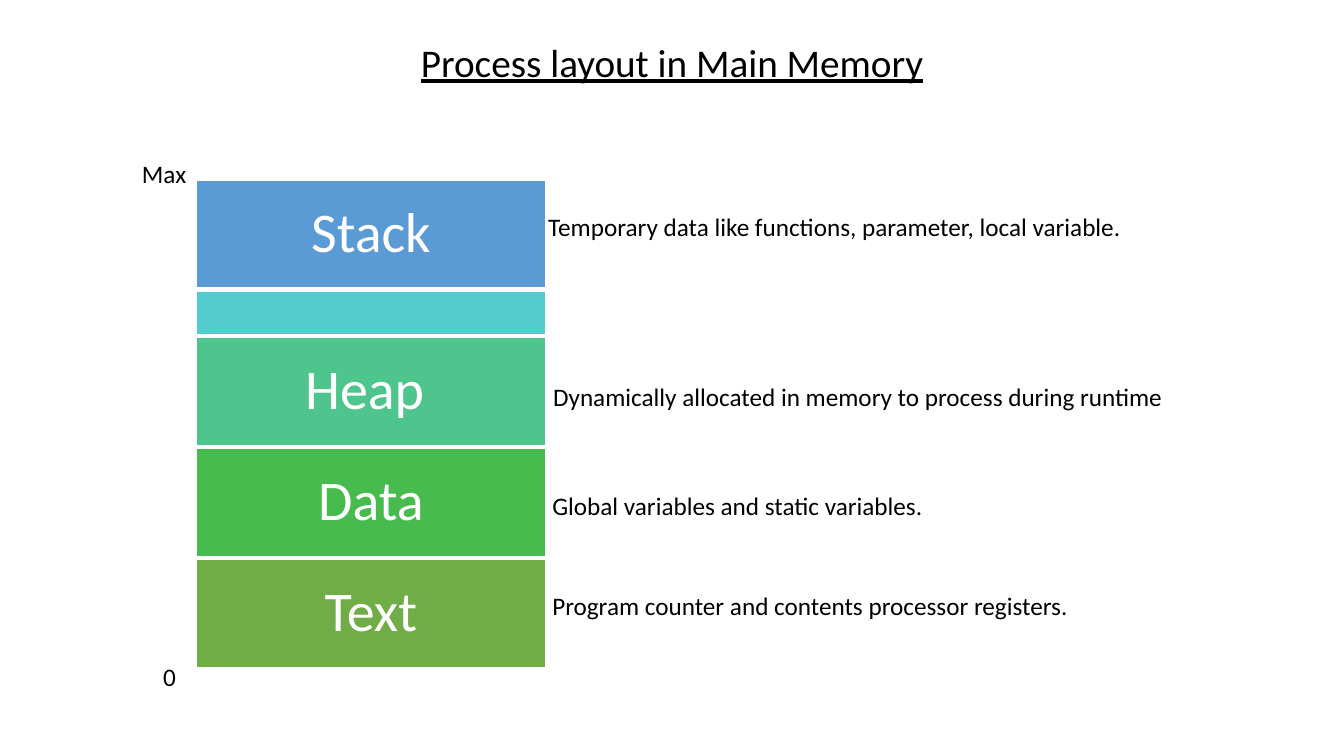
from dataclasses import dataclass

from pptx import Presentation
from pptx.dml.color import RGBColor
from pptx.enum.shapes import MSO_SHAPE
from pptx.enum.text import MSO_ANCHOR as Anchor, MSO_AUTO_SIZE as AutoSize, PP_ALIGN as Align
from pptx.util import Pt


@dataclass(frozen=True)
class Theme:
    font: str = "Calibri"
    ink: str = "000000"
    paper: str = "FFFFFF"
    stack: str = "5B9BD5"
    free: str = "54CCCD"
    heap: str = "4DC58D"
    data: str = "48BB4F"
    text: str = "70AD47"
    title_size: int = 28
    segment_size: int = 40
    note_size: int = 18


THEME = Theme()

# Memory column, in points
COLUMN_LEFT, COLUMN_TOP, COLUMN_WIDTH = 139.7, 128.2, 250.5
SEGMENT_GAP = 1.5
FULL, THIN = 77.8, 31.7

# Segments from the highest address down: name, height, fill
SEGMENTS = [
    ("Stack", FULL, THEME.stack),
    ("", THIN, THEME.free),
    ("Heap ", FULL, THEME.heap),
    ("Data", FULL, THEME.data),
    ("Text", FULL, THEME.text),
]

# Address marks and descriptions: wording, left, top, width
NOTES = [
    ("Max", 94.3, 109.4, 46),
    ("0", 109.4, 468.7, 24),
    ("Temporary data like functions, parameter, local variable.", 384.5, 147.6, 428),
    ("Dynamically allocated in memory to process during runtime", 388, 268.6, 459),
    ("Global variables and static variables.", 387.4, 347, 282),
    ("Program counter and contents processor registers.", 387.4, 418.3, 388),
]
NOTE_HEIGHT = 29


def apply(target, formats):
    for attribute, value in formats.items():
        setattr(target, attribute, value)


def write(shape, wording, size, color, frame_formats, paragraph_formats, underline=False):
    frame = shape.text_frame
    apply(frame, frame_formats)
    paragraph = frame.paragraphs[0]
    apply(paragraph, paragraph_formats)
    run = paragraph.add_run()
    run.text = wording
    apply(run.font, {"name": THEME.font, "size": Pt(size), "underline": underline})
    run.font.color.rgb = RGBColor.from_string(color)


def add_title(slide, wording):
    title = slide.shapes.add_textbox(Pt(288), Pt(18.7), Pt(384), Pt(54.7))
    write(title, wording, THEME.title_size, THEME.ink,
          {"word_wrap": True, "vertical_anchor": Anchor.MIDDLE},
          {"alignment": Align.CENTER, "line_spacing": 0.9}, underline=True)


def add_segment(slide, name, top, height, fill):
    segment = slide.shapes.add_shape(
        MSO_SHAPE.RECTANGLE, Pt(COLUMN_LEFT), Pt(top), Pt(COLUMN_WIDTH), Pt(height))
    segment.shadow.inherit = False
    segment.fill.solid()
    segment.fill.fore_color.rgb = RGBColor.from_string(fill)
    segment.line.color.rgb = RGBColor.from_string(THEME.paper)
    segment.line.width = Pt(1.5)
    if name:
        margins = {f"margin_{side}": Pt(8) for side in ("left", "top", "right", "bottom")}
        write(segment, name, THEME.segment_size, THEME.paper,
              {"word_wrap": True, "vertical_anchor": Anchor.MIDDLE, **margins},
              {"alignment": Align.CENTER, "line_spacing": 0.9})


def add_note(slide, wording, left, top, width):
    note = slide.shapes.add_textbox(Pt(left), Pt(top), Pt(width), Pt(NOTE_HEIGHT))
    write(note, wording, THEME.note_size, THEME.ink,
          {"word_wrap": False, "auto_size": AutoSize.SHAPE_TO_FIT_TEXT},
          {"alignment": Align.LEFT})


def main():
    deck = Presentation()
    apply(deck, {"slide_width": Pt(960), "slide_height": Pt(540)})
    slide = deck.slides.add_slide(deck.slide_layouts[6])

    add_title(slide, "Process layout in Main Memory")

    # Memory segments, stacked downwards
    top = COLUMN_TOP
    for name, height, fill in SEGMENTS:
        add_segment(slide, name, top, height, fill)
        top += height + SEGMENT_GAP

    # Address marks and descriptions
    for note in NOTES:
        add_note(slide, *note)

    deck.save("out.pptx")


if __name__ == "__main__":
    main()
